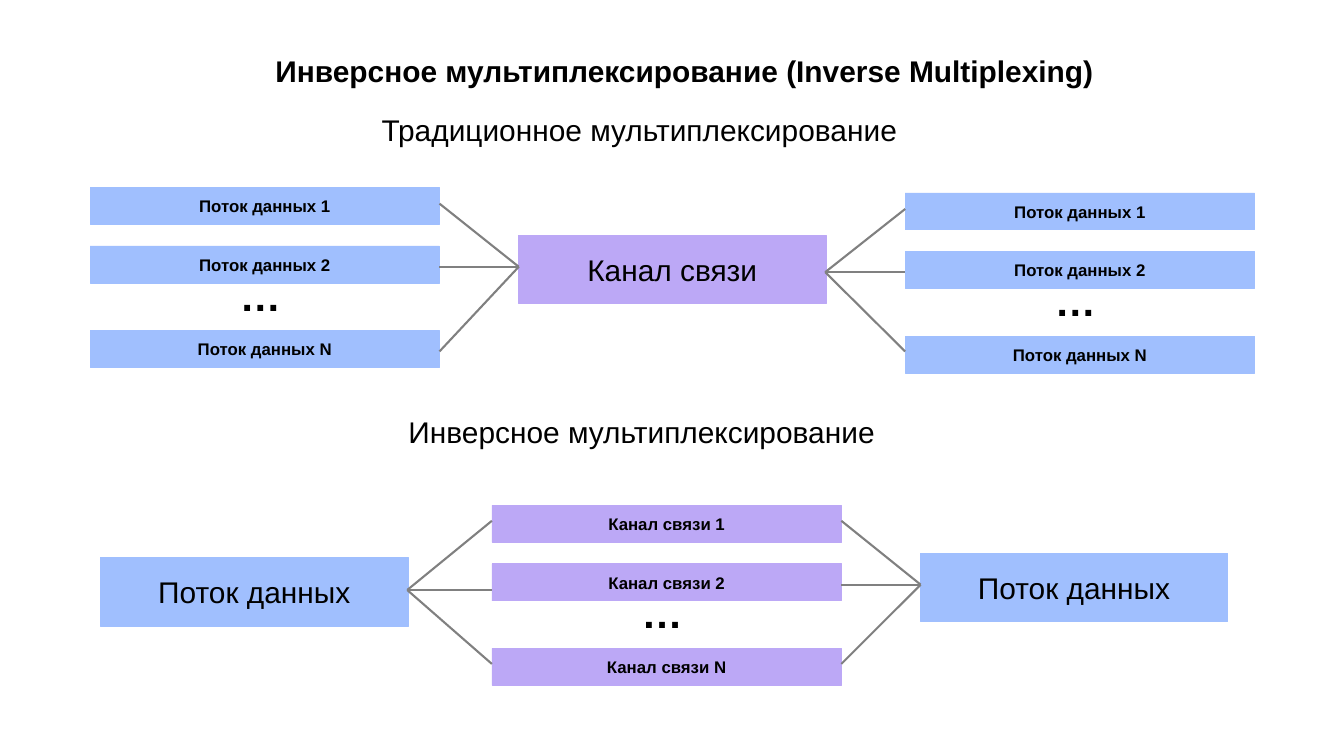
import pptx
import pptx.util
import pptx.dml.color
import pptx.enum.shapes
import pptx.enum.text
import pptx.oxml.ns
import lxml.etree

PX = 9144
BLUE = pptx.dml.color.RGBColor(0xA0, 0xBF, 0xFE)
VIOLET = pptx.dml.color.RGBColor(0xBC, 0xA8, 0xF6)
GRAY = pptx.dml.color.RGBColor(0x80, 0x80, 0x80)
BLACK = pptx.dml.color.RGBColor(0, 0, 0)

BAR_W, BAR_H = 520, 55
BAR_TOPS = {"1": 0, "2": 87, "N": 213}
HUB_W, HUB_H = 457, 102


def px(*values):
    return [pptx.util.Emu(v * PX) for v in values]


def write(sp, text, size=32, bold=False, align=pptx.enum.text.PP_ALIGN.LEFT,
          anchor=pptx.enum.text.MSO_ANCHOR.TOP):
    tf = sp.text_frame
    tf.word_wrap = False
    tf.vertical_anchor = anchor
    p = tf.paragraphs[0]
    p.alignment = align
    r = p.add_run()
    r.text = text
    r.font.name = "Arial"
    r.font.size = pptx.util.Pt(size)
    r.font.bold = bold
    r.font.color.rgb = BLACK


def add_label(s, text, left, top, width, height, **fmt):
    sp = s.shapes.add_textbox(*px(left, top, width, height))
    write(sp, text, **fmt)
    sp.text_frame.auto_size = pptx.enum.text.MSO_AUTO_SIZE.SHAPE_TO_FIT_TEXT


def add_block(s, text, left, top, width, height, color, **fmt):
    sp = s.shapes.add_shape(pptx.enum.shapes.MSO_SHAPE.RECTANGLE,
                            *px(left, top, width, height))
    sp.shadow.inherit = False
    sp.fill.solid()
    sp.fill.fore_color.rgb = color
    sp.line.color.rgb = color
    sp.line.width = pptx.util.Pt(0.75)
    write(sp, text, align=pptx.enum.text.PP_ALIGN.CENTER,
          anchor=pptx.enum.text.MSO_ANCHOR.MIDDLE, **fmt)


def add_bank(s, name, left, top, color):
    for suffix, dy in BAR_TOPS.items():
        add_block(s, f"{name} {suffix}", left, top + dy, BAR_W, BAR_H, color,
                  size=18, bold=True)
    add_label(s, "…", left + 213, top + 118, 81, 84, size=44, bold=True)


def add_hub(s, name, left, top, color):
    add_block(s, name, left, top, HUB_W, HUB_H, color)


def add_fan(s, hub_x, hub_y, bar_x, first_y, last_y):
    for y in (first_y, hub_y, last_y):
        (x1, y1), (x2, y2) = sorted([(hub_x, hub_y), (bar_x, y)])
        c = s.shapes.add_connector(pptx.enum.shapes.MSO_CONNECTOR.STRAIGHT,
                                   *px(x1, y1, x2, y2))
        c.line.color.rgb = GRAY
        c.line.width = pptx.util.Pt(2.25)
        lxml.etree.SubElement(c._element.spPr, pptx.oxml.ns.qn("a:effectLst"))


def add_traditional(s, left, top):
    add_label(s, "Традиционное мультиплексирование", left + 424, top, 794, 64)
    add_bank(s, "Поток данных", left, top + 118, BLUE)
    add_hub(s, "Канал связи", left + 638, top + 189, VIOLET)
    add_bank(s, "Поток данных", left + 1213, top + 126, BLUE)
    add_fan(s, left + 638, top + 236, left + BAR_W, top + 142, top + 362)
    add_fan(s, left + 1094, top + 244, left + 1213, top + 150, top + 362)


def add_inverse(s, left, top):
    add_label(s, "Инверсное мультиплексирование", left + 448, top, 719, 64)
    add_hub(s, "Поток данных", left, top + 220, BLUE)
    add_bank(s, "Канал связи", left + 582, top + 142, VIOLET)
    add_hub(s, "Поток данных", left + 1220, top + 213, BLUE)
    add_fan(s, left + 456, top + 268, left + 582, top + 165, top + 378)
    add_fan(s, left + 1220, top + 260, left + 1102, top + 165, top + 378)


def main():
    prs = pptx.Presentation()
    prs.slide_width, prs.slide_height = px(2000, 1125)
    s = prs.slides.add_slide(prs.slide_layouts[6])
    add_label(s, "Инверсное мультиплексирование (Inverse Multiplexing)",
              400, 74, 1246, 64, bold=True)
    add_traditional(s, 134, 161)
    add_inverse(s, 150, 610)
    prs.save("out.pptx")


if __name__ == "__main__":
    main()
